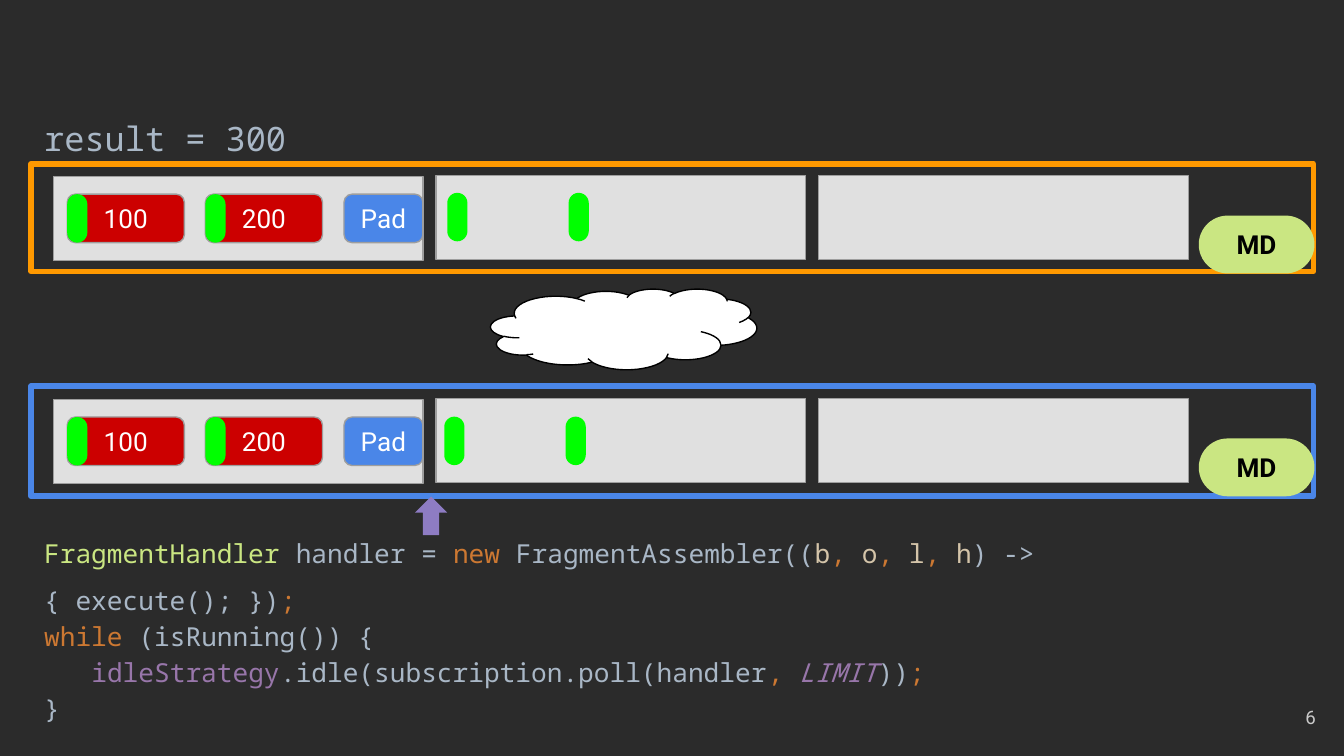
from dataclasses import dataclass

from pptx import Presentation
from pptx.dml.color import RGBColor
from pptx.enum.shapes import MSO_SHAPE
from pptx.enum.text import MSO_ANCHOR, PP_ALIGN
from pptx.util import Pt

RECT = MSO_SHAPE.RECTANGLE
FRAME = MSO_SHAPE.FLOWCHART_PROCESS
ROUND = MSO_SHAPE.ROUNDED_RECTANGLE
CLOUD = MSO_SHAPE.CLOUD
UP_ARROW = MSO_SHAPE.UP_ARROW
TOP, MIDDLE = MSO_ANCHOR.TOP, MSO_ANCHOR.MIDDLE
LEFT, CENTER, RIGHT = PP_ALIGN.LEFT, PP_ALIGN.CENTER, PP_ALIGN.RIGHT


@dataclass(frozen=True)
class Theme:
    sans: str = "Roboto"
    mono: str = "Noto Sans Mono"
    heading: float = 18
    body: float = 14
    small: float = 10
    thin: float = 0.75
    thick: float = 3
    background: str = "2B2B2B"
    segment: str = "E0E0E0"
    outline: str = "9E9E9E"
    message: str = "CC0000"
    blue: str = "4A86E8"
    orange: str = "FF9900"
    header: str = "00FF00"
    lime: str = "CAE682"
    arrow: str = "8E7CC3"
    white: str = "FFFFFF"
    black: str = "000000"
    number: str = "CACACA"
    plain: str = "A9B7C6"
    keyword: str = "CC7832"
    parameter: str = "D4C4A9"
    field: str = "9876AA"


class SlideBuilder:
    def __init__(self, prs, theme):
        self.theme = theme
        self.slide = prs.slides.add_slide(prs.slide_layouts[6])
        fill = self.slide.background.fill
        fill.solid()
        fill.fore_color.rgb = RGBColor.from_string(theme.background)

    def shape(self, kind, x, y, w, h, fill=None, line=None, weight=None, adj=None):
        s = self.slide.shapes.add_shape(kind, Pt(x), Pt(y), Pt(w), Pt(h))
        s.shadow.inherit = False
        if fill:
            s.fill.solid()
            s.fill.fore_color.rgb = RGBColor.from_string(fill)
        else:
            s.fill.background()
        if line:
            s.line.color.rgb = RGBColor.from_string(line)
            s.line.width = Pt(weight or self.theme.thin)
        else:
            s.line.fill.background()
        if adj is not None:
            s.adjustments[0] = adj
        return s

    def frame(self, sp, anchor):
        tf = sp.text_frame
        tf.word_wrap = True
        tf.vertical_anchor = anchor
        tf.margin_left = tf.margin_right = Pt(7.2)
        tf.margin_top = tf.margin_bottom = Pt(7.2)
        return tf

    def style(self, r, font, size, color, bold=False, italic=False):
        r.font.name = font
        r.font.size = Pt(size)
        r.font.bold = bold
        r.font.italic = italic
        r.font.color.rgb = RGBColor.from_string(color)

    def label(self, sp, text, color, bold=False):
        tf = self.frame(sp, MIDDLE)
        tf.text = text
        p = tf.paragraphs[0]
        p.alignment = CENTER
        self.style(p.runs[0], self.theme.sans, self.theme.body, color, bold)

    def text(self, x, y, w, h, text, font, size, color, align=LEFT, anchor=TOP, spacing=1.0):
        sp = self.slide.shapes.add_textbox(Pt(x), Pt(y), Pt(w), Pt(h))
        tf = self.frame(sp, anchor)
        tf.text = text
        p = tf.paragraphs[0]
        p.alignment = align
        p.line_spacing = spacing
        self.style(p.runs[0], font, size, color)

    def block(self, x, y, w, text, fill):
        s = self.shape(ROUND, x, y, w, 26, fill, self.theme.outline, adj=0.167)
        self.label(s, text, self.theme.white)

    def marker(self, x, y):
        self.shape(ROUND, x, y, 10.8, 26, self.theme.header, adj=0.5)

    def lane(self, y, frame_y, frame_h, color, marker_x, marker_y):
        t = self.theme
        for i in range(3):
            top = y + 0.7 if i == 0 else y
            self.shape(RECT, 28.6 + 205 * i, top, 198, 45, t.segment, t.outline)
        self.shape(FRAME, 16.6, frame_y, 687, frame_h, line=color, weight=t.thick)
        block_y = y + 10
        for i, text in enumerate(("100", "200")):
            x = 36 + 74 * i
            self.block(x, block_y, 62.8, text, t.message)
            self.marker(x, block_y)
            self.marker(marker_x + 65 * i, marker_y)
        self.block(184.3, block_y, 42.3, "Pad", t.blue)
        badge = self.shape(ROUND, 642.2, y + 21.5, 62, 31, t.lime, adj=0.5)
        self.label(badge, "MD", t.black, bold=True)

    def code(self, x, y, w, h, lines):
        t = self.theme
        sp = self.slide.shapes.add_textbox(Pt(x), Pt(y), Pt(w), Pt(h))
        tf = self.frame(sp, TOP)
        for i, (spacing, tokens) in enumerate(lines):
            p = tf.paragraphs[0] if i == 0 else tf.add_paragraph()
            p.line_spacing = spacing
            for text, color in tokens:
                if text == "\n":
                    p.add_line_break()
                    continue
                r = p.add_run()
                r.text = text
                self.style(r, t.mono, t.body, color, italic=text == "LIMIT")


def main():
    prs = Presentation()
    prs.slide_width, prs.slide_height = Pt(720), Pt(405)
    t = Theme()
    s = SlideBuilder(prs, t)

    s.lane(94, 87.8, 57.6, t.orange, 239.6, 103.3)
    s.lane(213.4, 206.8, 59, t.blue, 238, 223.2)
    s.shape(CLOUD, 262.8, 154.8, 142.6, 43.2, t.white, t.black)
    s.shape(UP_ARROW, 222.3, 266, 17.3, 20.7, t.arrow)

    s.text(16.6, 52.6, 445, 31, "result = 300", t.mono, t.heading, t.plain, spacing=1.15)
    s.text(669, 368.6, 43, 31, "6", t.sans, t.small, t.number, RIGHT, MIDDLE)

    comma = (", ", t.keyword)
    end = (";", t.keyword)
    s.code(16.6, 272.2, 687, 103, [
        (1.5, [
            ("FragmentHandler ", t.lime), ("handler = ", t.plain),
            ("new ", t.keyword), ("FragmentAssembler((", t.plain),
            ("b", t.parameter), comma, ("o", t.parameter), comma,
            ("l", t.parameter), comma, ("h", t.parameter),
            (") ->", t.plain), ("\n", None), ("{ execute(); })", t.plain), end,
        ]),
        (1.15, [("while ", t.keyword), ("(isRunning()) {", t.plain)]),
        (1.15, [
            ("   ", t.plain), ("idleStrategy", t.field),
            (".idle(subscription.poll(handler", t.plain), comma,
            ("LIMIT", t.field), ("))", t.plain), end,
        ]),
        (1.15, [("}", t.plain)]),
    ])

    prs.save("out.pptx")


if __name__ == "__main__":
    main()
